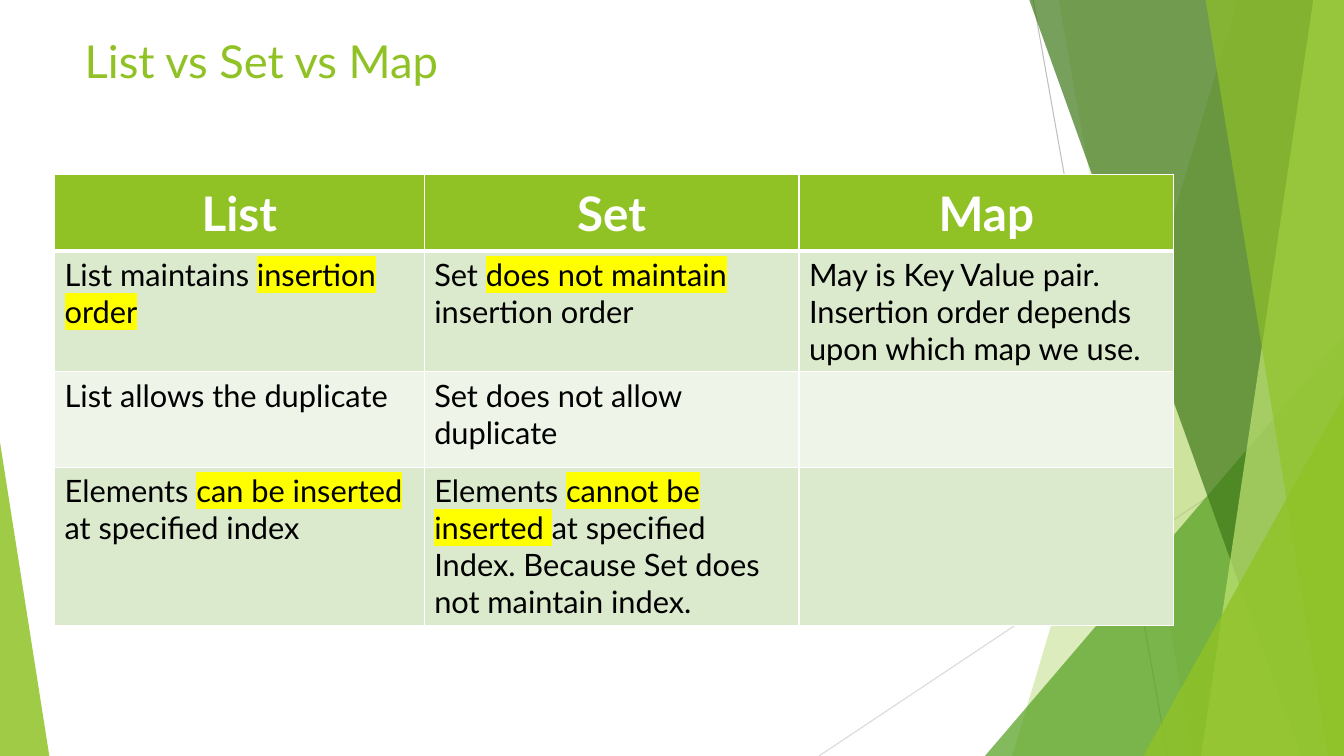
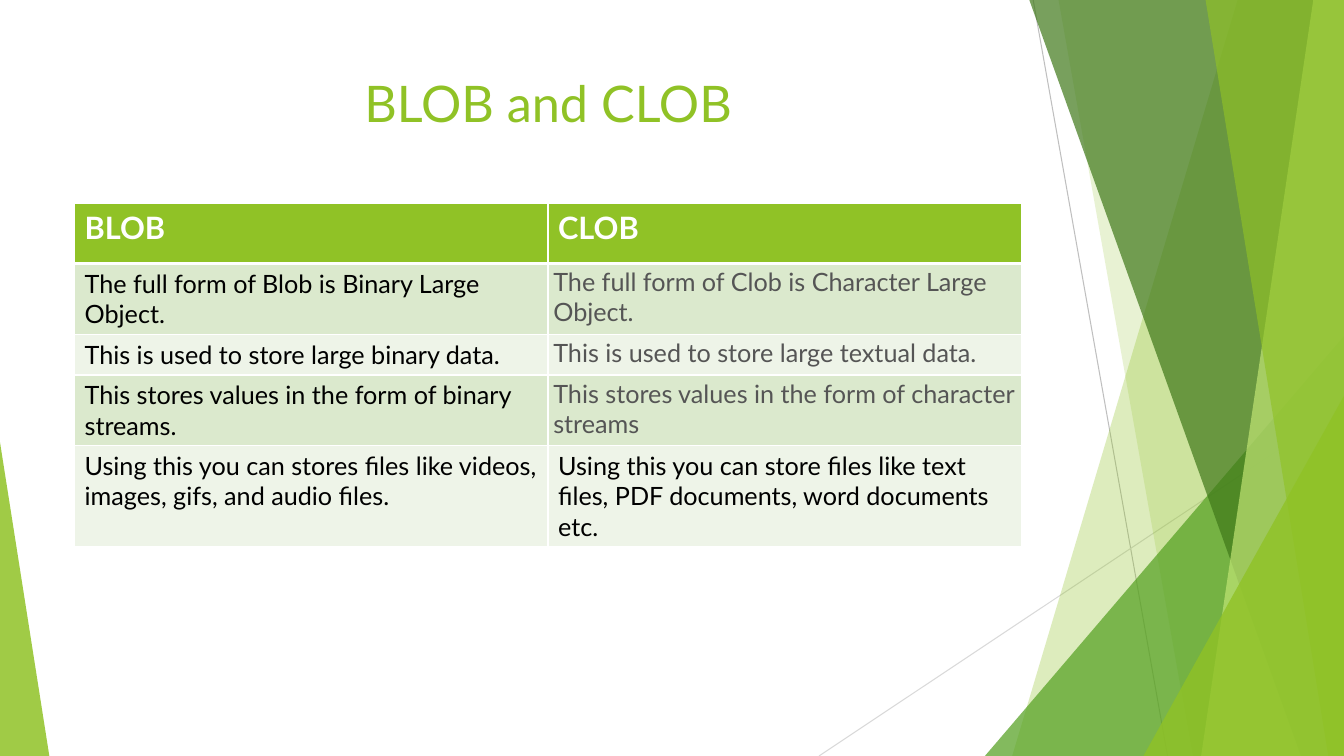
from dataclasses import dataclass

from lxml.etree import SubElement
from pptx import Presentation
from pptx.dml.color import RGBColor
from pptx.enum.shapes import MSO_CONNECTOR, MSO_SHAPE
from pptx.enum.text import MSO_ANCHOR as Anchor, MSO_AUTO_SIZE, PP_ALIGN as Align
from pptx.oxml import parse_xml
from pptx.oxml.ns import nsdecls, qn
from pptx.util import Emu, Pt

PX = 9525  # EMU per px, 96 px to the inch
WIDTH, HEIGHT = 1280, 720


@dataclass(frozen=True)
class Theme:
    font: str = "Lato"
    green: str = "90C226"
    mid_green: str = "54A021"
    dark_green: str = "3F7819"
    lime: str = "C0E474"
    white: str = "FFFFFF"
    black: str = "000000"
    gray: str = "555555"
    highlight: str = "FFFF00"
    bands: tuple[str, str] = ("DBE9CD", "EEF4E8")
    rule: float = 1
    header_rule: float = 3
    ray_width: float = 0.75


THEME = Theme()


@dataclass(frozen=True)
class Ray:
    start: tuple[int, int]
    end: tuple[int, int]
    color: str


@dataclass(frozen=True)
class Band:
    """A band whose left edge slants from top to foot and which runs to the right edge."""
    top: int
    foot: int
    color: str
    opacity: int


@dataclass(frozen=True)
class Wedge:
    """A triangle standing on the bottom edge, its apex at one side (0 left, 1 right)."""
    left: int
    top: int
    width: int
    apex: int
    color: str
    opacity: int


@dataclass(frozen=True)
class Cell:
    """Text with |highlighted| parts; a compact cell is gray with narrow margins."""
    text: str = ""
    compact: bool = False


@dataclass(frozen=True)
class Comparison:
    title: str
    title_box: tuple[int, int, int, int]
    title_size: float
    title_align: Align
    origin: tuple[int, int]
    columns: tuple[int, ...]
    header_height: int
    row_height: int
    header_size: int
    header_align: Align
    header_anchor: Anchor
    body_size: int
    headers: tuple[str, ...]
    rows: tuple[tuple[Cell, ...], ...]


FACETS = (
    Ray((984, 0), (1112, HEIGHT), "BFBFBF"),
    Ray((WIDTH, 387), (780, HEIGHT), "D9D9D9"),
    Band(1179, 964, THEME.green, 30),
    Band(1008, 1136, THEME.green, 20),
    Wedge(938, 320, 342, 1, THEME.mid_green, 72),
    Band(980, 1239, THEME.dark_green, 70),
    Band(1251, 1144, THEME.lime, 70),
    Band(1148, 1265, THEME.green, 65),
    Wedge(1089, 377, 191, 1, THEME.green, 80),
    Wedge(0, 421, 47, 0, THEME.green, 85),
)

COMPARISONS = (
    Comparison(
        title="List vs Set vs Map", title_box=(71, 27, 902, 59),
        title_size=32.4, title_align=Align.LEFT,
        origin=(52, 166), columns=(352, 357, 357), header_height=73, row_height=91,
        header_size=34, header_align=Align.CENTER, header_anchor=Anchor.MIDDLE,
        body_size=22, headers=("List", "Set", "Map"),
        rows=(
            (Cell("List maintains |insertion order|"),
             Cell("Set |does not maintain |insertion order"),
             Cell("May is Key Value pair.\nInsertion order depends upon which map we use.")),
            (Cell("List allows the duplicate"), Cell("Set does not allow duplicate"), Cell()),
            (Cell("Elements |can be inserted |at specified index"),
             Cell("Elements |cannot be inserted |at specified Index. "
                  "Because Set does not maintain index."),
             Cell()),
        ),
    ),
    Comparison(
        title="BLOB and CLOB", title_box=(71, 64, 902, 76),
        title_size=36, title_align=Align.CENTER,
        origin=(71, 194), columns=(451, 451), header_height=57, row_height=39,
        header_size=22, header_align=Align.LEFT, header_anchor=Anchor.TOP,
        body_size=18, headers=("BLOB", "CLOB"),
        rows=(
            (Cell("The full form of Blob is Binary Large Object."),
             Cell("The full form of Clob is Character Large Object.", compact=True)),
            (Cell("This is used to store large binary data."),
             Cell("This is used to store large textual data.", compact=True)),
            (Cell("This stores values in the form of binary streams."),
             Cell("This stores values in the form of character streams", compact=True)),
            (Cell("Using this you can stores files like videos, images, gifs, and audio files."),
             Cell("Using this you can store files like text files, PDF documents, "
                  "word documents etc.")),
        ),
    ),
)


def px(*lengths: int) -> list[Emu]:
    return [Emu(length * PX) for length in lengths]


def rgb(color: str) -> RGBColor:
    return RGBColor.from_string(color)


def set_attributes(target, **formats) -> None:
    for name, value in formats.items():
        setattr(target, name, value)


def format_font(font, size: float, color: str, bold: bool = False) -> None:
    set_attributes(font, name=THEME.font, size=Pt(size), bold=bold)
    font.color.rgb = rgb(color)


def paint(shape, color: str, opacity: int) -> None:
    shape.shadow.inherit = False
    shape.line.fill.background()
    shape.fill.solid()
    shape.fill.fore_color.rgb = rgb(color)
    tint = shape._element.spPr.find(qn("a:solidFill"))[0]
    SubElement(tint, qn("a:alpha")).set("val", str(opacity * 1000))


def draw_ray(shapes, ray: Ray) -> None:
    line = shapes.add_connector(MSO_CONNECTOR.STRAIGHT, *px(*ray.start, *ray.end))
    line.line.width = Pt(THEME.ray_width)
    line.line.color.rgb = rgb(ray.color)
    SubElement(line._element.spPr, qn("a:effectLst"))


def draw_band(shapes, band: Band) -> None:
    outline = shapes.build_freeform(band.top, -1, scale=float(PX))
    outline.add_line_segments([(WIDTH, -1), (WIDTH, HEIGHT), (band.foot, HEIGHT)], close=True)
    paint(outline.convert_to_shape(), band.color, band.opacity)


def draw_wedge(shapes, wedge: Wedge) -> None:
    box = px(wedge.left, wedge.top, wedge.width, HEIGHT - wedge.top)
    triangle = shapes.add_shape(MSO_SHAPE.ISOSCELES_TRIANGLE, *box)
    triangle.adjustments[0] = float(wedge.apex)
    paint(triangle, wedge.color, wedge.opacity)


FACET_DRAWERS = {Ray: draw_ray, Band: draw_band, Wedge: draw_wedge}


def decorate_layout(layout, slide) -> None:
    """Build the facets on a slide, then move them behind everything in its layout."""
    group = slide.shapes.add_group_shape()
    for facet in FACETS:
        FACET_DRAWERS[type(facet)](group.shapes, facet)
    for number, properties in enumerate(group._element.iter(qn("p:cNvPr")), start=100):
        properties.set("id", str(number))
    layout.shapes._spTree.insert(2, group._element)


def write_title(slide, comparison: Comparison) -> None:
    title = slide.shapes.title
    left, top, width, height = px(*comparison.title_box)
    set_attributes(title, left=left, top=top, width=width, height=height)
    set_attributes(title.text_frame, text=comparison.title, word_wrap=True,
                   auto_size=MSO_AUTO_SIZE.NONE, vertical_anchor=Anchor.TOP)
    heading = title.text_frame.paragraphs[0]
    heading.alignment = comparison.title_align
    format_font(heading.runs[0].font, comparison.title_size, THEME.green)


def write_text(cell, text: str, size: int, color: str, bold: bool, align: Align) -> None:
    frame = cell.text_frame
    for index, line in enumerate(text.split("\n")):
        paragraph = frame.add_paragraph() if index else frame.paragraphs[0]
        paragraph.alignment = align
        for position, part in enumerate(line.split("|")):
            if not part:
                continue
            run = paragraph.add_run()
            run.text = part
            format_font(run.font, size, color, bold)
            if position % 2:
                run._r.rPr.find(qn("a:solidFill")).addnext(parse_xml(
                    f'<a:highlight {nsdecls("a")}><a:srgbClr val="{THEME.highlight}"/>'
                    "</a:highlight>"))


def frame_cell(cell, fill: str, top: float, bottom: float) -> None:
    widths = {"lnL": THEME.rule, "lnR": THEME.rule, "lnT": top, "lnB": bottom}
    properties = cell._tc.get_or_add_tcPr()
    for side, width in widths.items():
        properties.append(parse_xml(
            f'<a:{side} {nsdecls("a")} w="{Pt(width)}"><a:solidFill>'
            f'<a:srgbClr val="{THEME.white}"/></a:solidFill></a:{side}>'))
    cell.fill.solid()
    cell.fill.fore_color.rgb = rgb(fill)


def draw_table(slide, comparison: Comparison) -> None:
    row_count = len(comparison.rows) + 1
    heights = [comparison.header_height] + [comparison.row_height] * len(comparison.rows)
    box = px(*comparison.origin, sum(comparison.columns), sum(heights))
    table = slide.shapes.add_table(row_count, len(comparison.columns), *box).table
    for column, width in zip(table.columns, px(*comparison.columns)):
        column.width = width
    for row, height in zip(table.rows, px(*heights)):
        row.height = height

    for column, header in enumerate(comparison.headers):
        cell = table.cell(0, column)
        frame_cell(cell, THEME.green, THEME.rule, THEME.header_rule)
        cell.vertical_anchor = comparison.header_anchor
        write_text(cell, header, comparison.header_size, THEME.white, True,
                   comparison.header_align)

    narrow, low = px(5, 3)
    for index, entries in enumerate(comparison.rows):
        for column, entry in enumerate(entries):
            cell = table.cell(index + 1, column)
            top = THEME.rule if index else THEME.header_rule
            frame_cell(cell, THEME.bands[index % 2], top, THEME.rule)
            if entry.compact:
                set_attributes(cell, margin_left=narrow, margin_right=narrow,
                               margin_top=low, margin_bottom=low)
            color = THEME.gray if entry.compact else THEME.black
            write_text(cell, entry.text, comparison.body_size, color, False, Align.LEFT)


def main() -> None:
    deck = Presentation()
    deck.slide_width, deck.slide_height = px(WIDTH, HEIGHT)
    layout = deck.slide_layouts.get_by_name("Title Only")
    slides = [deck.slides.add_slide(layout) for _ in COMPARISONS]
    decorate_layout(layout, slides[0])
    for slide, comparison in zip(slides, COMPARISONS):
        write_title(slide, comparison)
        draw_table(slide, comparison)
    deck.save("out.pptx")


if __name__ == "__main__":
    main()
